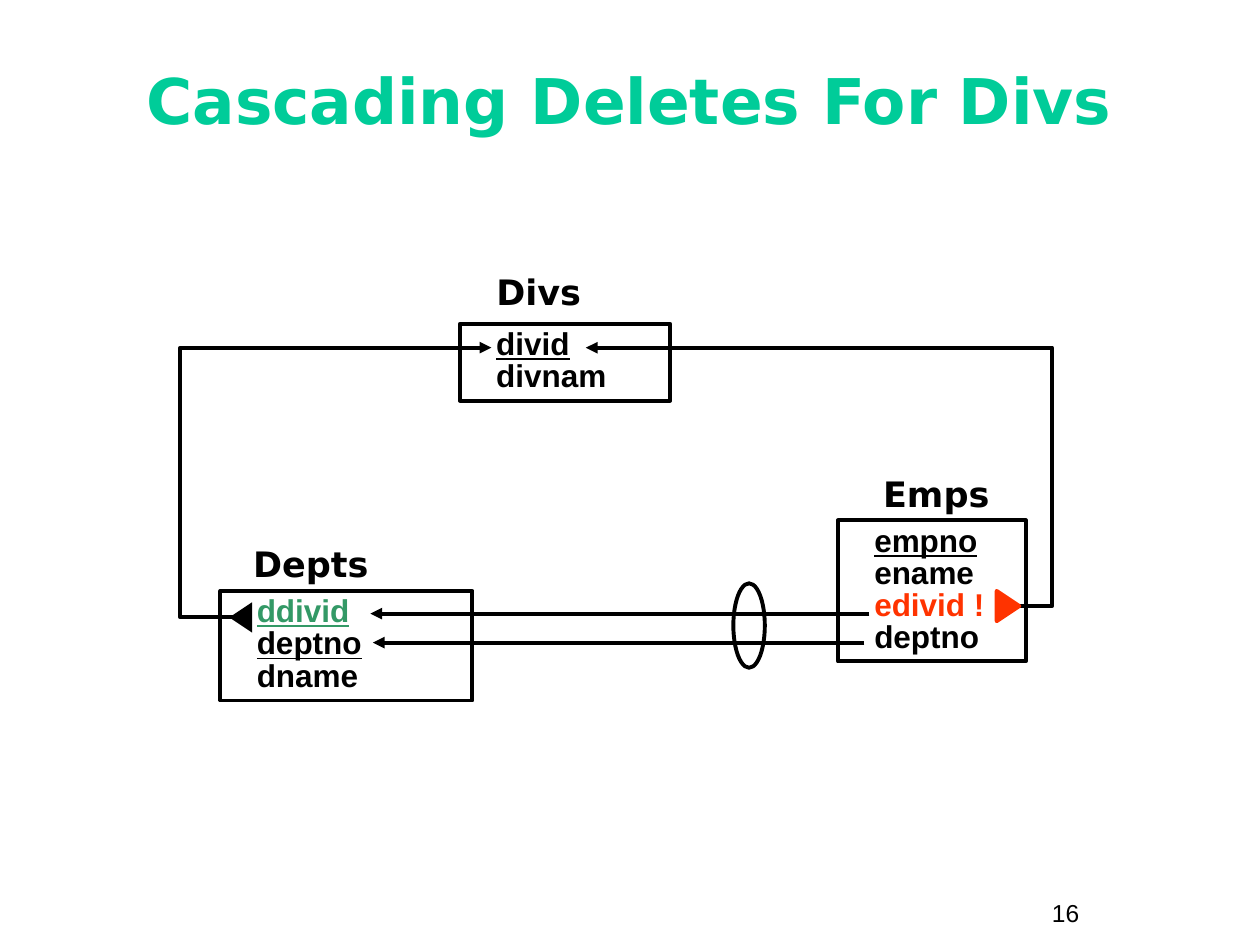
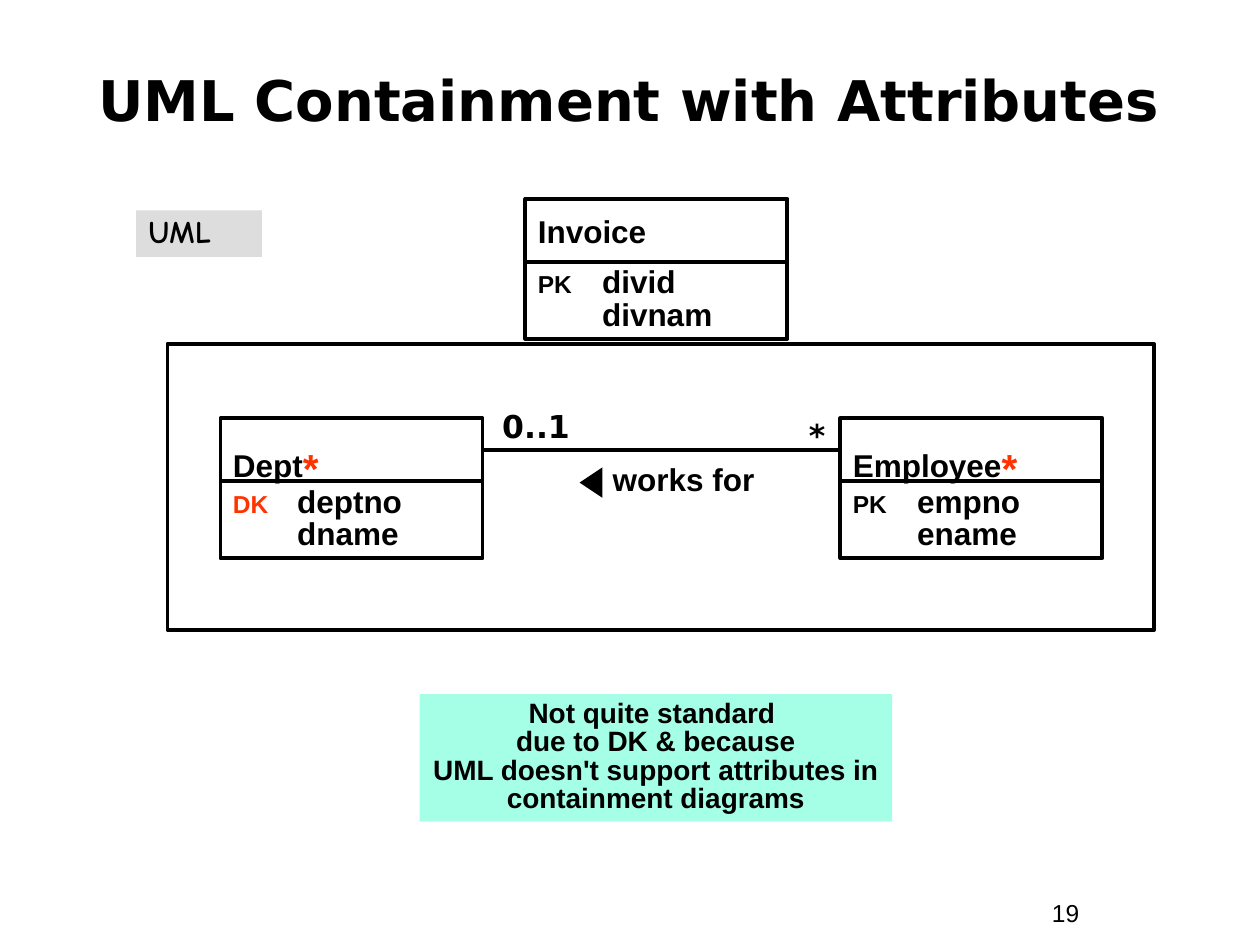
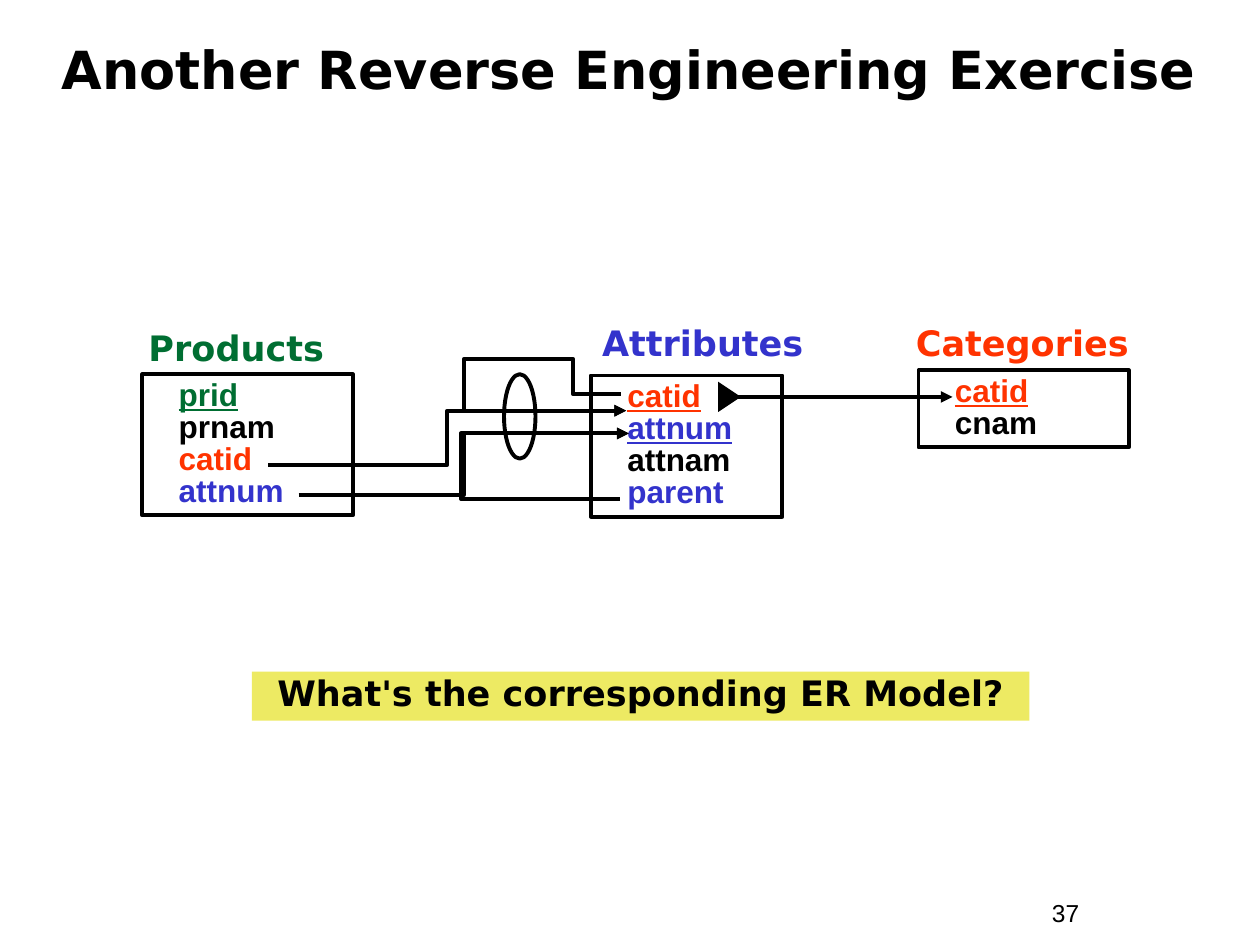
from dataclasses import dataclass

from pptx import Presentation
from pptx.dml.color import RGBColor
from pptx.enum.shapes import MSO_CONNECTOR, MSO_SHAPE
from pptx.enum.text import MSO_ANCHOR, PP_ALIGN
from pptx.oxml.ns import qn
from pptx.util import Inches, Pt
from lxml import etree

RECT, OVAL, TRIANGLE = MSO_SHAPE.RECTANGLE, MSO_SHAPE.OVAL, MSO_SHAPE.ISOSCELES_TRIANGLE
STRAIGHT, ELBOW = MSO_CONNECTOR.STRAIGHT, MSO_CONNECTOR.ELBOW
LEFT, CENTER = PP_ALIGN.LEFT, PP_ALIGN.CENTER
TOP, MIDDLE = MSO_ANCHOR.TOP, MSO_ANCHOR.MIDDLE


@dataclass(frozen=True)
class Theme:
    black: str = "000000"
    mint: str = "00CC99"
    sea: str = "339966"
    green: str = "006E32"
    red: str = "FF3300"
    blue: str = "3333CC"
    note: str = "A5FFE7"
    tag: str = "DDDDDD"
    question: str = "EDEA63"
    body: str = "Arial"
    heading: str = "DejaVu Sans"
    hand: str = "Comic Neue"
    star: int = 40
    label: int = 20
    text: int = 18
    remark: int = 16
    small: int = 14
    line: float = 2.25
    tight: float = 0.85


T = Theme()


def rgb(value):
    return RGBColor.from_string(value)


def write(s, paragraphs, align=LEFT, anchor=TOP, spacing=1.0, indent=0, tab=None, **font):
    tf = s.text_frame
    tf.word_wrap = True
    tf.vertical_anchor = anchor
    for i, runs in enumerate(paragraphs):
        p = tf.paragraphs[0] if i == 0 else tf.add_paragraph()
        p.alignment = align
        p.line_spacing = spacing
        pPr = p._p.get_or_add_pPr()
        if indent:
            pPr.set("marL", str(Inches(indent)))
            pPr.set("indent", "0")
        if tab:
            tabs = etree.SubElement(pPr, qn("a:tabLst"))
            etree.SubElement(tabs, qn("a:tab"), pos=str(Inches(tab)), algn="l")
        for text, changes in [(runs, {})] if isinstance(runs, str) else runs:
            add_run(p, text, **{**font, **changes})


def add_run(p, text, face=T.body, size=T.text, color=T.black, bold=True, underline=False, baseline=None):
    r = p.add_run()
    r.text = text
    r.font.name = face
    r.font.size = Pt(size)
    r.font.bold = bold
    r.font.underline = underline
    r.font.color.rgb = rgb(color)
    if baseline:
        r._r.get_or_add_rPr().set("baseline", str(baseline * 1000))


def add_text(slide, box, paragraphs, **fmt):
    s = slide.shapes.add_textbox(*map(Inches, box))
    write(s, paragraphs, **fmt)
    return s


def add_figure(slide, kind, box, fill=None, line=None):
    s = slide.shapes.add_shape(kind, *map(Inches, box))
    s.shadow.inherit = False
    if fill:
        s.fill.solid()
        s.fill.fore_color.rgb = rgb(fill)
    else:
        s.fill.background()
    if line:
        s.line.color.rgb = rgb(line)
        s.line.width = Pt(T.line)
    else:
        s.line.fill.background()
    return s


def add_banner(slide, box, fill, paragraphs, **fmt):
    write(add_figure(slide, RECT, box, fill), paragraphs, **fmt)


def add_triangle(slide, left, top, rotation, color=T.black, line=None):
    s = add_figure(slide, TRIANGLE, (left, top, 0.24, 0.18), color, line)
    s.rotation = rotation


def add_loop(slide, left, top):
    add_figure(slide, OVAL, (left, top, 0.25, 0.67), line=T.black)


def add_link(slide, start, end, turn=None, arrow=True):
    kind = STRAIGHT if turn is None else ELBOW
    c = slide.shapes.add_connector(kind, *map(Inches, (*start, *end)))
    c.line.color.rgb = rgb(T.black)
    c.line.width = Pt(T.line)
    spPr = c._element.spPr
    if turn is not None:
        ratio = (turn - start[0]) / (end[0] - start[0])
        guides = spPr.find(qn("a:prstGeom")).get_or_add_avLst()
        etree.SubElement(guides, qn("a:gd"), name="adj1", fmla=f"val {round(ratio * 100000)}")
    if arrow:
        etree.SubElement(c.line._get_or_add_ln(), qn("a:tailEnd"), type="triangle")
    etree.SubElement(spPr, qn("a:effectLst"))
    return c


def field(name, color=T.black, key=False):
    return [(name, {"color": color, "underline": key})]


def add_relation(slide, name, name_at, box, fields, color=T.black):
    add_text(slide, (*name_at, 2.15, 0.44), [name], face=T.heading, size=T.label, color=color)
    s = add_figure(slide, RECT, box, line=T.black)
    write(s, fields, spacing=T.tight, indent=0.19)


def add_uml_class(slide, left, top, name, key, fields, starred=False, key_color=T.black):
    header = add_figure(slide, RECT, (left, top, 2.08, 0.5), line=T.black)
    title = [(name, {})]
    if starred:
        title.append(("*", {"size": T.star, "color": T.red, "baseline": -8}))
    write(header, [title], anchor=MIDDLE)
    body = add_figure(slide, RECT, (left, top + 0.5, 2.08, 0.61), line=T.black)
    first, *others = fields
    rows = [[(key, {"size": T.small, "color": key_color}), ("\t" + first, {})]]
    rows += ["\t" + other for other in others]
    write(body, rows, spacing=T.tight, tab=0.51)
    return header


def add_slide(prs, title, number, size, top=0.33, color=T.black):
    slide = prs.slides.add_slide(prs.slide_layouts[6])
    add_text(slide, (8.25, 7.08, 0.92, 0.34), [number], size=T.small, bold=False)
    add_text(slide, (0.33, top, 9.33, 0.92), [title], align=CENTER, anchor=MIDDLE,
             face=T.heading, size=size, color=color)
    return slide


def cascading_deletes(prs):
    slide = add_slide(prs, "Cascading Deletes For Divs", "16", 36, color=T.mint)
    add_relation(slide, "Depts", (1.91, 4.26), (1.75, 4.69, 2, 0.87),
                 [field("ddivid", T.sea, True), field("deptno", key=True), "dname"])
    add_relation(slide, "Emps", (6.91, 3.7), (6.65, 4.13, 1.49, 1.12),
                 [field("empno", key=True), "ename", field("edivid !", T.red), "deptno"])
    add_relation(slide, "Divs", (3.84, 2.1), (3.65, 2.57, 1.67, 0.61),
                 [field("divid", key=True), "divnam"])
    add_link(slide, (6.9, 4.87), (2.94, 4.87))
    add_link(slide, (6.86, 5.1), (2.96, 5.1))
    add_link(slide, (1.96, 4.9), (3.9, 2.76), turn=1.43)
    add_link(slide, (7.94, 4.81), (4.65, 2.76), turn=8.35)
    add_loop(slide, 5.82, 4.63)
    add_triangle(slide, 1.79, 4.81, 270)
    add_triangle(slide, 7.88, 4.72, 90, T.red, T.red)


def uml_containment(prs):
    slide = add_slide(prs, "UML Containment with Attributes", "19", 32)
    add_figure(slide, RECT, (1.33, 2.73, 7.83, 2.27), line=T.black)
    dept = add_uml_class(slide, 1.75, 3.32, "Dept", "DK", ["deptno", "dname"], True, T.red)
    add_uml_class(slide, 4.17, 1.58, "Invoice", "PK", ["divid", "divnam"])
    employee = add_uml_class(slide, 6.67, 3.32, "Employee", "PK", ["empno", "ename"], True)
    works_for = add_link(slide, (3.83, 3.57), (6.67, 3.57), arrow=False)
    works_for.begin_connect(dept, 3)
    works_for.end_connect(employee, 1)
    add_text(slide, (6.07, 3.29, 0.83, 0.37), ["*"], align=CENTER, spacing=0.9, face=T.heading)
    add_text(slide, (3.84, 3.18, 0.83, 0.4), ["0..1"], align=CENTER, face=T.heading)
    add_text(slide, (4.32, 3.56, 2.21, 0.45), ["works for"], align=CENTER, spacing=1.15)
    add_triangle(slide, 4.57, 3.74, 270)
    add_banner(slide, (1.08, 1.67, 1, 0.37), T.tag, ["UML"], spacing=0.9, face=T.hand)
    add_banner(slide, (3.33, 5.51, 3.75, 1.01), T.note,
               ["Not quite standard ", "due to DK & because",
                "UML doesn't support attributes in containment diagrams"],
               align=CENTER, spacing=T.tight, size=T.remark)


def reverse_engineering(prs):
    slide = add_slide(prs, "Another Reverse Engineering Exercise", "37", 30, top=0.08)
    add_relation(slide, "Categories", (7.17, 2.5), (7.29, 2.94, 1.67, 0.61),
                 [field("catid", T.red, True), "cnam"], T.red)
    add_relation(slide, "Attributes", (4.68, 2.5), (4.69, 2.98, 1.52, 1.12),
                 [field("catid", T.red, True), field("attnum", T.blue, True),
                  "attnam", field("parent", T.blue)], T.blue)
    add_relation(slide, "Products", (1.08, 2.54), (1.13, 2.97, 1.67, 1.12),
                 [field("prid", T.green, True), "prnam",
                  field("catid", T.red), field("attnum", T.blue)], T.green)
    add_link(slide, (2.13, 3.69), (4.97, 3.26), turn=3.55)
    add_link(slide, (2.37, 3.93), (4.99, 3.44), turn=3.68)
    add_link(slide, (5.73, 3.15), (7.56, 3.15))
    add_triangle(slide, 5.67, 3.06, 90)
    add_loop(slide, 4, 2.97)
    add_link(slide, (4.08, 2.85), (4.97, 3.26), turn=3.68)
    add_link(slide, (4.08, 2.85), (4.17, 2.85), arrow=False)
    add_link(slide, (4.17, 2.85), (4.93, 3.13), turn=4.55, arrow=False)
    add_link(slide, (4.92, 3.96), (4.99, 3.44), turn=3.66)
    add_banner(slide, (2, 5.33, 6.17, 0.39), T.question, ["What's the corresponding ER Model?"],
               align=CENTER, spacing=T.tight, face=T.heading, size=T.label)


def main():
    prs = Presentation()
    prs.slide_width, prs.slide_height = Inches(10), Inches(7.5)
    cascading_deletes(prs)
    uml_containment(prs)
    reverse_engineering(prs)
    prs.save("out.pptx")


if __name__ == "__main__":
    main()
